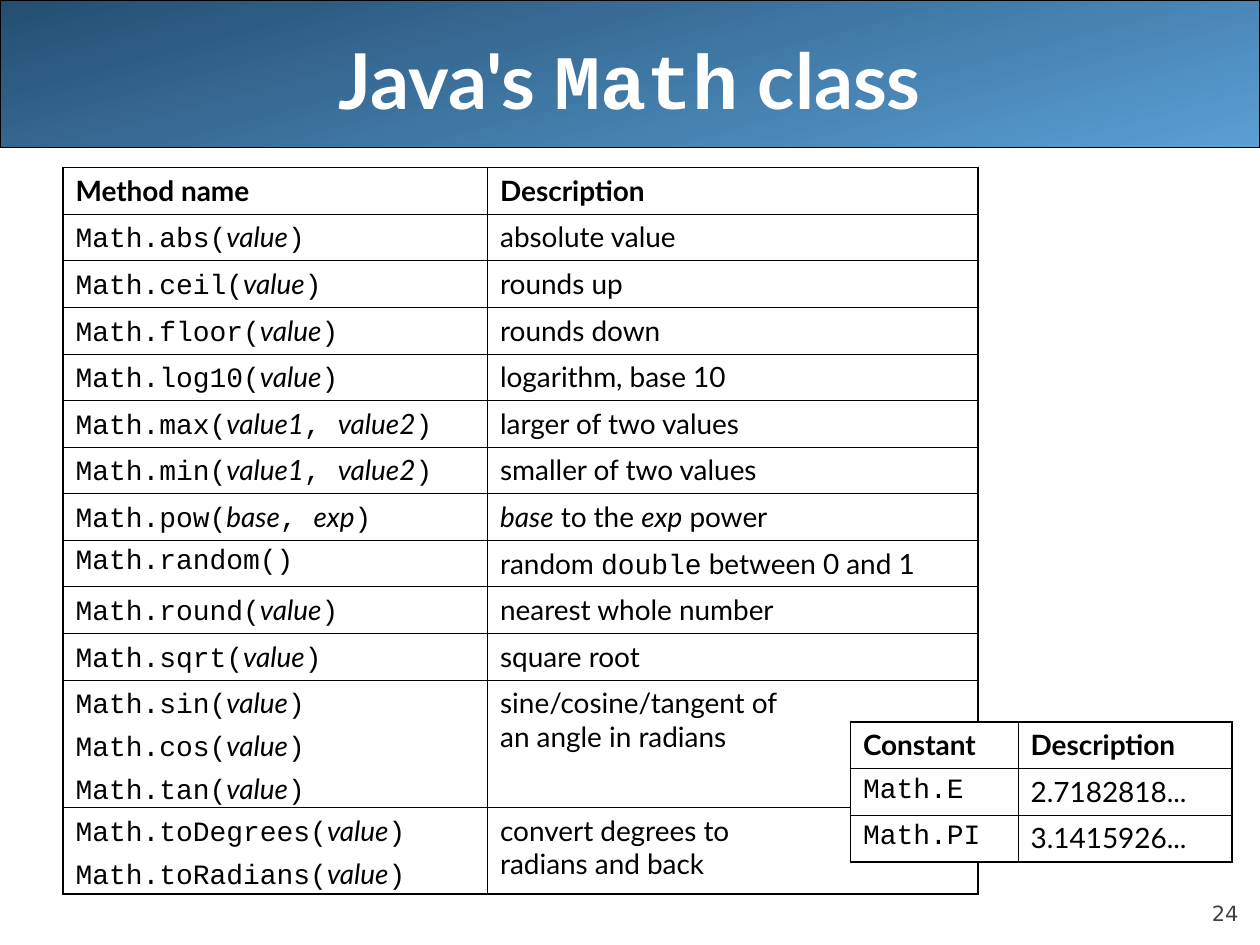
from dataclasses import dataclass

from lxml.etree import SubElement as Sub
from pptx import Presentation
from pptx.dml.color import RGBColor as Rgb
from pptx.enum.shapes import MSO_SHAPE as Kind
from pptx.enum.text import MSO_ANCHOR as Anchor, PP_ALIGN as Align
from pptx.oxml.ns import qn
from pptx.slide import Slide
from pptx.table import _Cell as Cell
from pptx.text.text import TextFrame as Frame
from pptx.util import Inches, Pt

COLORS = {"dark": "244E72", "light": "5A9FD4", "ink": "000000",
          "paper": "FFFFFF", "gray": "424242"}
SANS, MONO = "Lato", "Courier New"
THIN, THICK = 0.45, 1.08
ROW = 0.37


@dataclass
class Grid:
    left: float
    top: float
    cols: list[float]
    rows: list[float]
    cells: list[tuple[str, str]]


def color(name: str) -> Rgb:
    return Rgb.from_string(COLORS[name])


def write(frame: Frame, text: str, *, size: float = 16, ink: str = "ink",
          bold: bool = False, font: str = SANS, align: Align = Align.LEFT,
          before: float = 0) -> None:
    """Backticks mark code, stars mark italics, \\n a paragraph, \\v a line break."""
    for i, part in enumerate(text.split("\n")):
        para = frame.paragraphs[0] if i == 0 else frame.add_paragraph()
        para.alignment, para.space_before = align, Pt(before)
        for j, line in enumerate(part.split("\v")):
            if j:
                para.add_line_break()
                Sub(para._p[-1], qn("a:rPr"), sz=str(int(size * 100)))
            for k, chunk in enumerate(line.split("`")):
                for m, piece in enumerate(chunk.split("*")):
                    if not piece:
                        continue
                    run = para.add_run()
                    run.text = piece
                    face = run.font
                    face.name = MONO if k % 2 else font
                    face.size, face.bold, face.italic = Pt(size), bold, m % 2 == 1
                    face.color.rgb = color(ink)


def label(slide: Slide, box: tuple[float, ...], text: str, anchor: Anchor,
          pad: tuple[float, float], **form) -> None:
    frame = slide.shapes.add_textbox(*map(Inches, box)).text_frame
    frame.word_wrap, frame.vertical_anchor = True, anchor
    frame.margin_left = frame.margin_right = Inches(pad[0])
    frame.margin_top = frame.margin_bottom = Inches(pad[1])
    write(frame, text, **form)


def edge(cell: Cell, side: str, width: float) -> None:
    line = Sub(cell._tc.get_or_add_tcPr(), qn(f"a:ln{side}"), w=str(Pt(width)))
    Sub(Sub(line, qn("a:solidFill")), qn("a:srgbClr"), val=COLORS["ink"])


def draw(slide: Slide, grid: Grid) -> None:
    """Draw a two-column table with a bold head and a thicker outer border."""
    high, wide = len(grid.rows), len(grid.cols)
    size = map(Inches, (grid.left, grid.top, sum(grid.cols), sum(grid.rows)))
    table = slide.shapes.add_table(high, wide, *size).table
    table.first_row = table.horz_banding = False
    for col, width in zip(table.columns, grid.cols):
        col.width = Inches(width)
    for row, height in zip(table.rows, grid.rows):
        row.height = Inches(height)
    for r, texts in enumerate(grid.cells):
        for c, text in enumerate(texts):
            cell = table.cell(r, c)
            outer = {"L": c == 0, "R": c == wide - 1,
                     "T": r == 0, "B": r == high - 1}
            for side, out in outer.items():
                edge(cell, side, THICK if out else THIN)
            cell.fill.solid()
            cell.fill.fore_color.rgb = color("paper")
            write(cell.text_frame, text, bold=r == 0, before=4)


def call(name: str, *args: str) -> str:
    inner = "`, `".join(f"*{arg}*" for arg in args)
    return f"`Math.{name}(`{inner}`)`"


def calls(*names: str) -> str:
    return "\n".join(call(name, "value") for name in names)


def band(slide: Slide) -> None:
    shape = slide.shapes.add_shape(Kind.ROUNDED_RECTANGLE, 0, 0,
                                   Inches(10), Inches(1.17))
    shape.adjustments[0] = 0
    shape.shadow.inherit = False
    shape.fill.gradient()
    shape.fill.gradient_angle = 360 - 75
    for stop, name in zip(shape.fill.gradient_stops, ("dark", "light")):
        stop.color.rgb = color(name)
    shape.line.color.rgb = color("ink")
    shape.line.width = Pt(0.75)


METHODS = Grid(0.5, 1.33, [3.37, 3.89], [ROW] * 11 + [1.01, 0.69], [
    ("Method name", "Description"),
    (calls("abs"), "absolute value"),
    (calls("ceil"), "rounds up"),
    (calls("floor"), "rounds down"),
    (calls("log10"), "logarithm, base 10"),
    (call("max", "value1", "value2"), "larger of two values"),
    (call("min", "value1", "value2"), "smaller of two values"),
    (call("pow", "base", "exp"), "*base* to the *exp* power"),
    (call("random"), "random `double` between 0 and 1"),
    (calls("round"), "nearest whole number"),
    (calls("sqrt"), "square root"),
    (calls("sin", "cos", "tan"), "sine/cosine/tangent of\van angle in radians"),
    (calls("toDegrees", "toRadians"), "convert degrees to\vradians and back"),
])
CONSTANTS = Grid(6.75, 5.73, [1.33, 1.7], [ROW] * 3, [
    ("Constant", "Description"),
    ("`Math.E`", "2.7182818..."),
    ("`Math.PI`", "3.1415926..."),
])


def main() -> None:
    deck = Presentation()
    deck.slide_width, deck.slide_height = Inches(10), Inches(7.5)
    slide = deck.slides.add_slide(deck.slide_layouts[6])
    band(slide)
    label(slide, (9, 6.95, 0.83, 0.4), "24", Anchor.BOTTOM, (0, 0), size=12,
          font="DejaVu Sans", ink="gray", align=Align.RIGHT, before=5)
    label(slide, (0.5, 0, 9, 1.25), "Java's `Math` class", Anchor.MIDDLE,
          (0.1, 0.05), size=44, ink="paper", bold=True, align=Align.CENTER)
    for grid in (METHODS, CONSTANTS):
        draw(slide, grid)
    deck.save("out.pptx")


if __name__ == "__main__":
    main()
